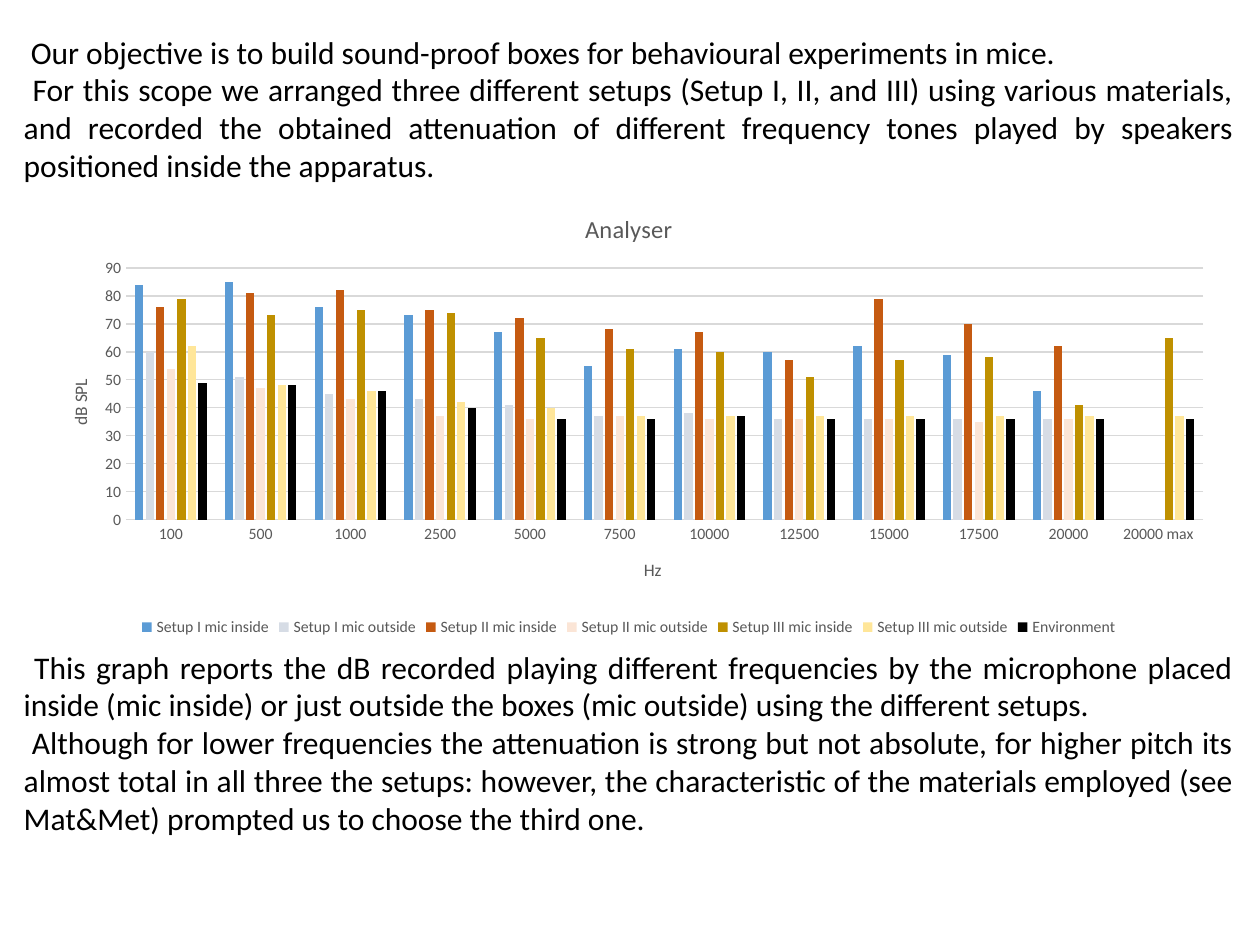
import lxml.etree
import pptx
import pptx.chart.data
import pptx.dml.color
import pptx.enum.chart
import pptx.enum.text
import pptx.oxml
import pptx.oxml.ns
import pptx.util

PX = 9144  # EMU in one px, 100 px to the inch
FONT = "Calibri"
COLORS = {"text": "000000", "label": "595959", "grid": "D9D9D9"}

FREQUENCIES = ["100", "500", "1000", "2500", "5000", "7500", "10000", "12500",
               "15000", "17500", "20000", "20000 max"]
SERIES = [
    ("Setup I mic inside", "5B9BD5", [84, 85, 76, 73, 67, 55, 61, 60, 62, 59, 46, None]),
    ("Setup I mic outside", "D6DCE5", [60, 51, 45, 43, 41, 37, 38, 36, 36, 36, 36, None]),
    ("Setup II mic inside", "C55A11", [76, 81, 82, 75, 72, 68, 67, 57, 79, 70, 62, None]),
    ("Setup II mic outside", "FBE5D6", [54, 47, 43, 37, 36, 37, 36, 36, 36, 35, 36, None]),
    ("Setup III mic inside", "BF9000", [79, 73, 75, 74, 65, 61, 60, 51, 57, 58, 41, 65]),
    ("Setup III mic outside", "FFE699", [62, 48, 46, 42, 40, 37, 37, 37, 37, 37, 37, 37]),
    ("Environment", "000000", [49, 48, 46, 40, 36, 36, 37, 36, 36, 36, 36, 36]),
]
INTRO = [
    " Our objective is to build sound-proof boxes for behavioural experiments in mice.",
    " For this scope we arranged three different setups (Setup I, II, and III) using "
    "various materials, and recorded the obtained attenuation of different frequency "
    "tones played by speakers positioned inside the apparatus.",
]
FINDINGS = [
    " This graph reports the dB recorded playing different frequencies by the microphone "
    "placed inside (mic inside) or just outside the boxes (mic outside) using the "
    "different setups.",
    " Although for lower frequencies the attenuation is strong but not absolute, for "
    "higher pitch its almost total in all three the setups: however, the characteristic "
    "of the materials employed (see Mat&Met) prompted us to choose the third one.",
]


def rgb(value):
    return pptx.dml.color.RGBColor.from_string(value)


def style_font(font, size, color):
    font.name = FONT
    font.size = pptx.util.Pt(size)
    font.bold = False
    font.color.rgb = rgb(color)


def add_text(page, left, top, width, height, paragraphs):
    box = page.shapes.add_textbox(left * PX, top * PX, width * PX, height * PX)
    frame = box.text_frame
    frame.word_wrap = True
    frame.auto_size = pptx.enum.text.MSO_AUTO_SIZE.SHAPE_TO_FIT_TEXT
    frame.text = "\n".join(paragraphs)
    for para in frame.paragraphs:
        para.alignment = pptx.enum.text.PP_ALIGN.JUSTIFY
        for span in para.runs:
            style_font(span.font, 18, COLORS["text"])


def set_layout(element, index, **places):
    """Place a chart part by fractions of the chart's size."""
    for old in element.findall(pptx.oxml.ns.qn("c:layout")):
        element.remove(old)
    layout = pptx.oxml.parse_xml(f"<c:layout {pptx.oxml.ns.nsdecls('c')}><c:manualLayout/></c:layout>")
    if "w" in places:
        places = {"layoutTarget": "inner", **places}
    modes = {"xMode": "edge", "yMode": "edge"}
    target = {key: places.pop(key) for key in ["layoutTarget"] if key in places}
    for name, value in {**target, **modes, **places}.items():
        lxml.etree.SubElement(layout[0], pptx.oxml.ns.qn(f"c:{name}")).set("val", str(value))
    element.insert(index, layout)


def set_title(title, text, size):
    title.text_frame.text = text
    style_font(title.text_frame.paragraphs[0].runs[0].font, size, COLORS["label"])


def style_axis(axis, text, x, y):
    set_title(axis.axis_title, text, 10)
    set_layout(axis.axis_title._element, 1, x=x, y=y)
    axis.major_tick_mark = pptx.enum.chart.XL_TICK_MARK.NONE
    axis.minor_tick_mark = pptx.enum.chart.XL_TICK_MARK.NONE
    style_font(axis.tick_labels.font, 9, COLORS["label"])


def style_line(line):
    line.color.rgb = rgb(COLORS["grid"])
    line.width = pptx.util.Pt(0.75)


def add_sound_chart(page, left, top, width, height):
    data = pptx.chart.data.CategoryChartData()
    data.categories = FREQUENCIES
    for name, _, values in SERIES:
        data.add_series(name, values)
    chart = page.shapes.add_chart(
        pptx.enum.chart.XL_CHART_TYPE.COLUMN_CLUSTERED,
        left * PX, top * PX, width * PX, height * PX, data).chart
    style_font(chart.font, 10, COLORS["text"])
    set_title(chart.chart_title, "Analyser", 14)
    chart.chart_title.include_in_layout = False

    plot = chart.plots[0]
    plot.gap_width = 219
    plot.overlap = -27
    plot.vary_by_categories = False
    for series, (_, color, _) in zip(plot.series, SERIES):
        series.format.fill.solid()
        series.format.fill.fore_color.rgb = rgb(color)
        series.invert_if_negative = False
    set_layout(chart._chartSpace.chart.plotArea, 0, x=0.08, y=0.17, w=0.9, h=0.56)

    style_axis(chart.category_axis, "Hz", 0.51, 0.81)
    style_line(chart.category_axis.format.line)
    axis = chart.value_axis
    style_axis(axis, "dB SPL", 0.03, 0.41)
    axis.format.line.fill.background()
    axis.minimum_scale, axis.maximum_scale, axis.major_unit = 0, 90, 10
    style_line(axis.major_gridlines.format.line)

    chart.has_legend = True
    chart.legend.position = pptx.enum.chart.XL_LEGEND_POSITION.BOTTOM
    chart.legend.include_in_layout = False
    style_font(chart.legend.font, 9, COLORS["label"])


def main():
    deck = pptx.Presentation()
    deck.slide_width, deck.slide_height = 1000 * PX, 750 * PX
    page = deck.slides.add_slide(deck.slide_layouts[6])
    add_sound_chart(page, 24, 152, 950, 357)
    add_text(page, 9, 21, 980, 131, INTRO)
    add_text(page, 9, 509, 980, 162, FINDINGS)
    deck.save("out.pptx")


if __name__ == "__main__":
    main()
